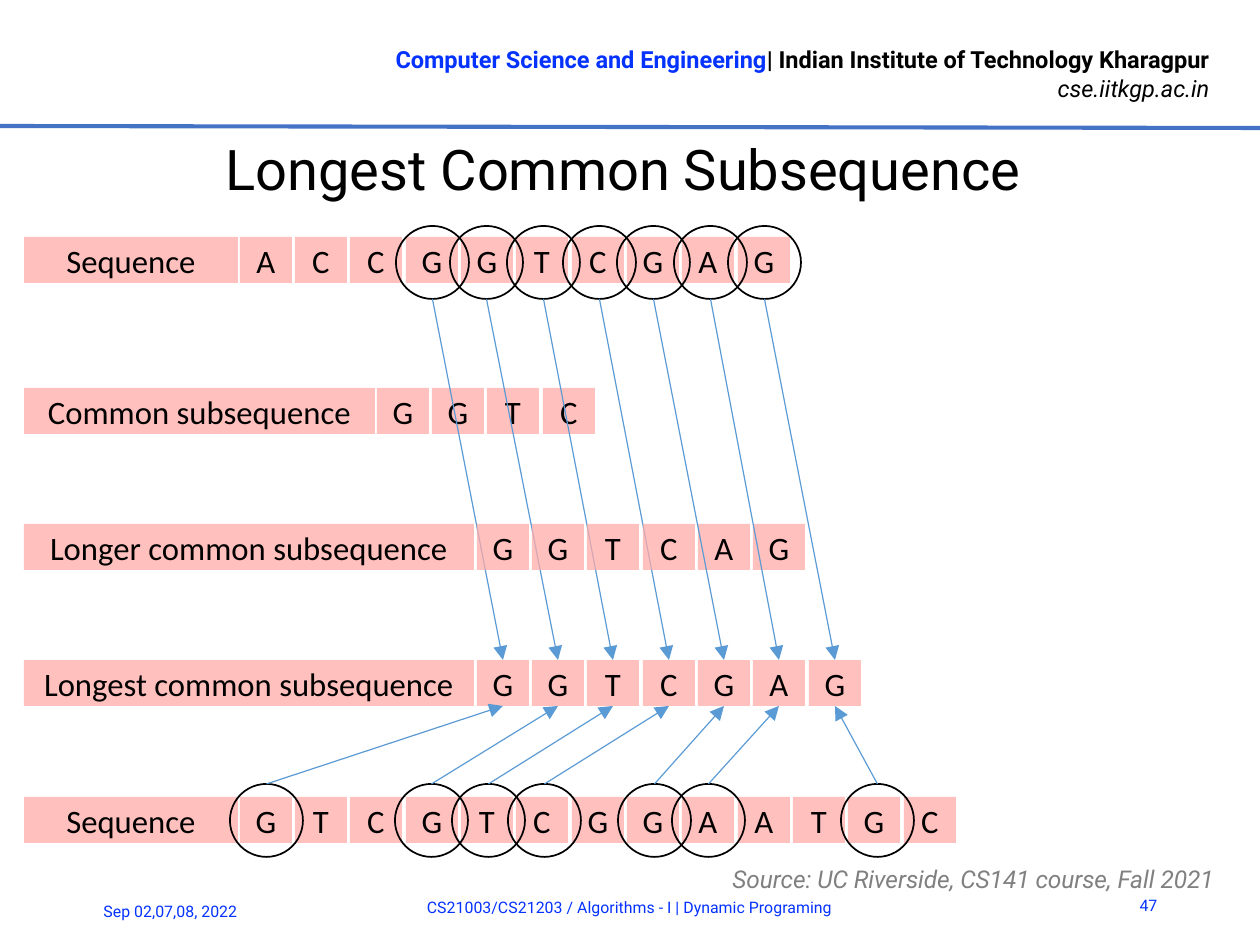
from dataclasses import dataclass, field

from pptx import Presentation
from pptx.dml.color import RGBColor
from pptx.enum.shapes import MSO_CONNECTOR as Line, MSO_SHAPE as Shape
from pptx.enum.text import MSO_ANCHOR as Anchor, PP_ALIGN as Align
from pptx.oxml.ns import qn
from pptx.util import Emu, Pt
from lxml.etree import SubElement

BLACK, BLUE, GREY = "000000", "0432FF", "808080"
PINK, ARROW, RULE = "FFACA9", "5B9BD5", "4472C4"
CELL_W, CELL_H, RING_D = 52, 46, 73
RINGS_TOP_Y, RINGS_BOTTOM_Y = 226, 784
LINKS_BEHIND = 4


@dataclass
class Row:
    label: str
    letters: str
    y: int
    label_w: int
    first_x: int


@dataclass
class Run:
    text: str
    size: float
    color: str
    fmt: dict = field(default_factory=dict)


@dataclass
class Label:
    box: tuple[int, int, int, int]
    lines: list[list[Run]]
    align: Align = Align.LEFT
    anchor: Anchor = Anchor.MIDDLE
    para: dict = field(default_factory=dict)


TOP = Row("Sequence", "ACCGGTCGAG", 237, 214, 240)
COMMON = Row("Common subsequence", "GGTC", 388, 351, 377)
LONGER = Row("Longer common subsequence", "GGTCAG", 524, 450, 477)
LONGEST = Row("Longest common subsequence", "GGTCGAG", 660, 450, 477)
BOTTOM = Row("Sequence", "GTCGTCGGAATGC", 797, 214, 240)

RINGS_TOP = [396, 450, 507, 563, 617, 674, 728]
RINGS_BOTTOM = [230, 395, 452, 508, 618, 672, 841]

LABELS = [
    Label((321, 37, 905, 74),
          [[Run("Computer Science and Engineering", 10.1, BLUE, {"bold": True}),
            Run("| Indian Institute of Technology Kharagpur", 10.1, BLACK, {"bold": True})],
           [Run("cse.iitkgp.ac.in", 10.1, BLACK, {"italic": True})]],
          Align.RIGHT, Anchor.TOP),
    Label((1112, 880, 62, 50), [[Run("47", 6.8, BLUE)]], Align.RIGHT),
    Label((87, 886, 220, 50), [[Run("Sep 02,07,08, 2022", 6.8, BLUE)]]),
    Label((208, 882, 843, 50),
          [[Run("CS21003/CS21203 / Algorithms - I | Dynamic Programing", 6.8, BLUE)]],
          Align.CENTER),
    Label((716, 855, 534, 34),
          [[Run("Source: UC Riverside, CS141 course, Fall 2021", 10.5, GREY, {"italic": True})]],
          para={"line_spacing": Pt(18), "space_before": Pt(3), "space_after": Pt(3)}),
]


def px(n: float) -> Emu:
    return Emu(round(n * 914400 / 168))


def rgb(color: str) -> RGBColor:
    return RGBColor.from_string(color)


def set_attrs(target, values: dict) -> None:
    for name, value in values.items():
        setattr(target, name, value)


def add_run(p, run: Run, font: str = "Roboto") -> None:
    r = p.add_run()
    r.text = run.text
    set_attrs(r.font, {"name": font, "size": Pt(run.size), **run.fmt})
    r.font.color.rgb = rgb(run.color)


def add_label(shapes, label: Label) -> None:
    tf = shapes.add_textbox(*map(px, label.box)).text_frame
    set_attrs(tf, {"word_wrap": True, "vertical_anchor": label.anchor})
    for i, runs in enumerate(label.lines):
        p = tf.add_paragraph() if i else tf.paragraphs[0]
        set_attrs(p, {"alignment": label.align, **label.para})
        for run in runs:
            add_run(p, run)


def add_title(shapes, text: str) -> None:
    sp = shapes.title
    set_attrs(sp, {"left": px(40), "top": px(133), "width": px(1166), "height": px(69)})
    tf = sp.text_frame
    set_attrs(tf, {"margin_left": 0, "margin_right": 0, "margin_top": px(2),
                   "margin_bottom": 0, "vertical_anchor": Anchor.MIDDLE, "word_wrap": True})
    p = tf.paragraphs[0]
    set_attrs(p, {"alignment": Align.CENTER, "space_before": Pt(0.5)})
    add_run(p, Run(text, 24, BLACK))


def add_cell(shapes, x: int, y: int, w: int, text: str):
    sp = shapes.add_shape(Shape.RECTANGLE, px(x), px(y), px(w), px(CELL_H))
    sp.shadow.inherit = False
    sp.fill.solid()
    sp.fill.fore_color.rgb = rgb(PINK)
    clr = next(sp._element.spPr.iter(qn("a:srgbClr")))
    SubElement(clr, qn("a:alpha"), val="75000")
    sp.line.fill.background()
    tf = sp.text_frame
    set_attrs(tf, {"margin_left": 0, "margin_right": 0, "margin_top": 0,
                   "margin_bottom": 0, "vertical_anchor": Anchor.MIDDLE, "word_wrap": True})
    p = tf.paragraphs[0]
    p.alignment = Align.CENTER
    add_run(p, Run(text, 14, BLACK), "Calibri")
    return sp


def add_row(shapes, row: Row) -> list:
    add_cell(shapes, 24, row.y, row.label_w, row.label)
    return [add_cell(shapes, row.first_x + i * 166 // 3, row.y, CELL_W, letter)
            for i, letter in enumerate(row.letters)]


def add_ring(shapes, x: int, y: int):
    sp = shapes.add_shape(Shape.OVAL, px(x), px(y), px(RING_D), px(RING_D))
    sp.shadow.inherit = False
    sp.fill.background()
    sp.line.color.rgb = rgb(BLACK)
    sp.line.width = Pt(0.75)
    return sp


def add_line(shapes, ends: tuple, color: str, width: float):
    cx = shapes.add_connector(Line.STRAIGHT, *ends)
    cx.line.color.rgb = rgb(color)
    cx.line.width = Pt(width)
    SubElement(cx._element.spPr, qn("a:effectLst"))
    return cx


def add_links(shapes, upper: list, cells: list, lower: list) -> None:
    for above, cell, below in zip(upper, cells, lower):
        x, y = above.left + above.width // 2, above.top + above.height
        down = add_line(shapes, (x, y, x, y), ARROW, 0.5)
        down.end_connect(cell, 0)
        up = add_line(shapes, (x, y, x, y), ARROW, 0.5)
        up.begin_connect(below, 0)
        up.end_connect(cell, 2)
        for cx in (down, up):
            SubElement(cx.line._get_or_add_ln(), qn("a:tailEnd"), type="triangle")


def main() -> None:
    prs = Presentation()
    prs.slide_width, prs.slide_height = px(1260), px(945)
    shapes = prs.slides.add_slide(prs.slide_layouts[5]).shapes
    add_title(shapes, "Longest Common Subsequence")
    add_line(shapes, tuple(map(px, (0, 126, 1260, 128))), RULE, 1.75)
    for label in LABELS:
        add_label(shapes, label)

    for row in (TOP, COMMON, BOTTOM):
        add_row(shapes, row)
    cells = add_row(shapes, LONGEST)
    upper = [add_ring(shapes, x, RINGS_TOP_Y) for x in RINGS_TOP]
    lower = [add_ring(shapes, x, RINGS_BOTTOM_Y) for x in RINGS_BOTTOM]

    behind, front = slice(LINKS_BEHIND), slice(LINKS_BEHIND, None)
    add_links(shapes, upper[behind], cells[behind], lower[behind])
    add_row(shapes, LONGER)
    add_links(shapes, upper[front], cells[front], lower[front])
    prs.save("out.pptx")


if __name__ == "__main__":
    main()
